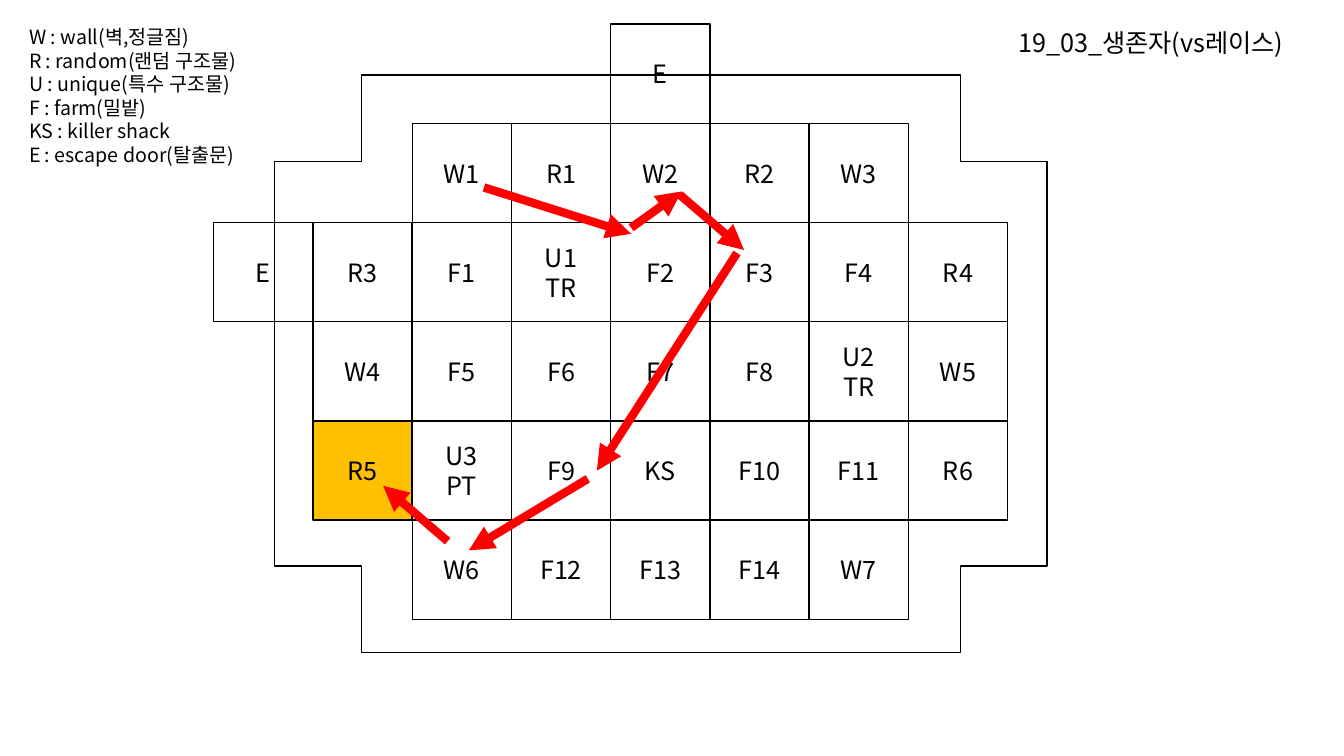
from lxml.etree import SubElement
from pptx import Presentation
from pptx.dml.color import RGBColor
from pptx.enum.shapes import MSO_CONNECTOR, MSO_SHAPE
from pptx.enum.text import MSO_ANCHOR, MSO_AUTO_SIZE, PP_ALIGN
from pptx.oxml.ns import qn
from pptx.util import Inches, Pt

COLORS = {"ink": "000000", "paper": "FFFFFF", "goal": "FFC000", "route": "FF0000"}
FONT = "Noto Sans CJK KR"

# Map grid: seven cell steps span 6.89 inches
CELL = 6.89 / 7
GRID_LEFT, GRID_TOP = 2.12, 0.24

# First row, first column and labels of each row of tiles
TILE_ROWS = [
    (1, 2, ["W1", "R1", "W2", "R2", "W3"]),
    (2, 1, ["R3", "F1", "U1\vTR", "F2", "F3", "F4", "R4"]),
    (3, 1, ["W4", "F5", "F6", "F7", "F8", "U2\vTR", "W5"]),
    (4, 1, ["R5", "U3\vPT", "F9", "KS", "F10", "F11", "R6"]),
    (5, 2, ["W6", "F12", "F13", "F14", "W7"]),
]
TILE_FILLS = {"W4": "paper", "R5": "goal"}
ESCAPE_DOORS = [(2, 0), (0, 4)]

LEGEND = [
    "W : wall(벽,정글짐)",
    "R : random(랜덤 구조물)",
    "U : unique(특수 구조물)",
    "F : farm(밀밭)",
    "KS : killer shack\vE : escape door(탈출문)",
]

ROUTE = [
    ((4.8, 1.86), (6.26, 2.32)),
    ((6.26, 2.26), (6.76, 1.9)),
    ((6.74, 1.93), (7.38, 2.48)),
    ((7.31, 2.51), (5.92, 4.67)),
    ((5.83, 4.75), (4.65, 5.46)),
    ((4.44, 5.37), (3.8, 4.82)),
]


class MapSlide:
    def __init__(self, slide):
        self.slide = slide

    def color(self, name):
        return RGBColor.from_string(COLORS[name])

    def set_text(self, frame, text, size, align):
        frame.word_wrap = True
        frame.text = text
        for para in frame.paragraphs:
            para.alignment = align
            for span in para.runs:
                span.font.name = FONT
                span.font.size = Pt(size)
                span.font.color.rgb = self.color("ink")
                # Korean glyphs take the East Asian typeface
                properties = span.font._element
                SubElement(properties, qn("a:ea")).set("typeface", FONT)

    def outline(self, kind, left, top, width, height, fill=None):
        shape = self.slide.shapes.add_shape(
            kind, Inches(left), Inches(top), Inches(width), Inches(height))
        shape.shadow.inherit = False
        if fill:
            shape.fill.solid()
            shape.fill.fore_color.rgb = self.color(fill)
        else:
            shape.fill.background()
        shape.line.color.rgb = self.color("ink")
        shape.line.width = Pt(1)
        return shape

    def tile(self, row, column, label):
        shape = self.outline(
            MSO_SHAPE.RECTANGLE, GRID_LEFT + column * CELL,
            GRID_TOP + row * CELL, CELL, CELL, TILE_FILLS.get(label))
        shape.text_frame.vertical_anchor = MSO_ANCHOR.MIDDLE
        self.set_text(shape.text_frame, label, 18, PP_ALIGN.CENTER)

    def text(self, left, top, width, height, text, size):
        box = self.slide.shapes.add_textbox(
            Inches(left), Inches(top), Inches(width), Inches(height))
        self.set_text(box.text_frame, text, size, PP_ALIGN.LEFT)
        box.text_frame.auto_size = MSO_AUTO_SIZE.SHAPE_TO_FIT_TEXT

    def arrow(self, start, end):
        arrow = self.slide.shapes.add_connector(
            MSO_CONNECTOR.STRAIGHT, *map(Inches, start + end))
        arrow.line.color.rgb = self.color("route")
        arrow.line.width = Pt(6)
        properties = arrow._element.spPr
        line = properties.find(qn("a:ln"))
        SubElement(line, qn("a:tailEnd")).set("type", "triangle")
        SubElement(properties, qn("a:effectLst"))


def main():
    deck = Presentation()
    deck.slide_width, deck.slide_height = Inches(13.33), Inches(7.5)
    page = MapSlide(deck.slides.add_slide(deck.slide_layouts[6]))

    # Outer wall of the map
    wall = page.outline(MSO_SHAPE.CROSS, 3.69, -0.22, 5.73, 7.66)
    wall.rotation = 270
    wall.adjustments[0] = 0.15

    # Legend
    page.text(0.19, 0.2, 2.34, 1.51, "\n".join(LEGEND), 14)

    # Tiles
    for row, first_column, labels in TILE_ROWS:
        for column, label in enumerate(labels, first_column):
            page.tile(row, column, label)

    # Title
    page.text(10, 0.22, 3.12, 0.4, "19_03_생존자(vs레이스)", 18)

    # Survivor's route
    for start, end in ROUTE:
        page.arrow(start, end)

    # Escape doors
    for row, column in ESCAPE_DOORS:
        page.tile(row, column, "E")

    deck.save("out.pptx")


if __name__ == "__main__":
    main()
